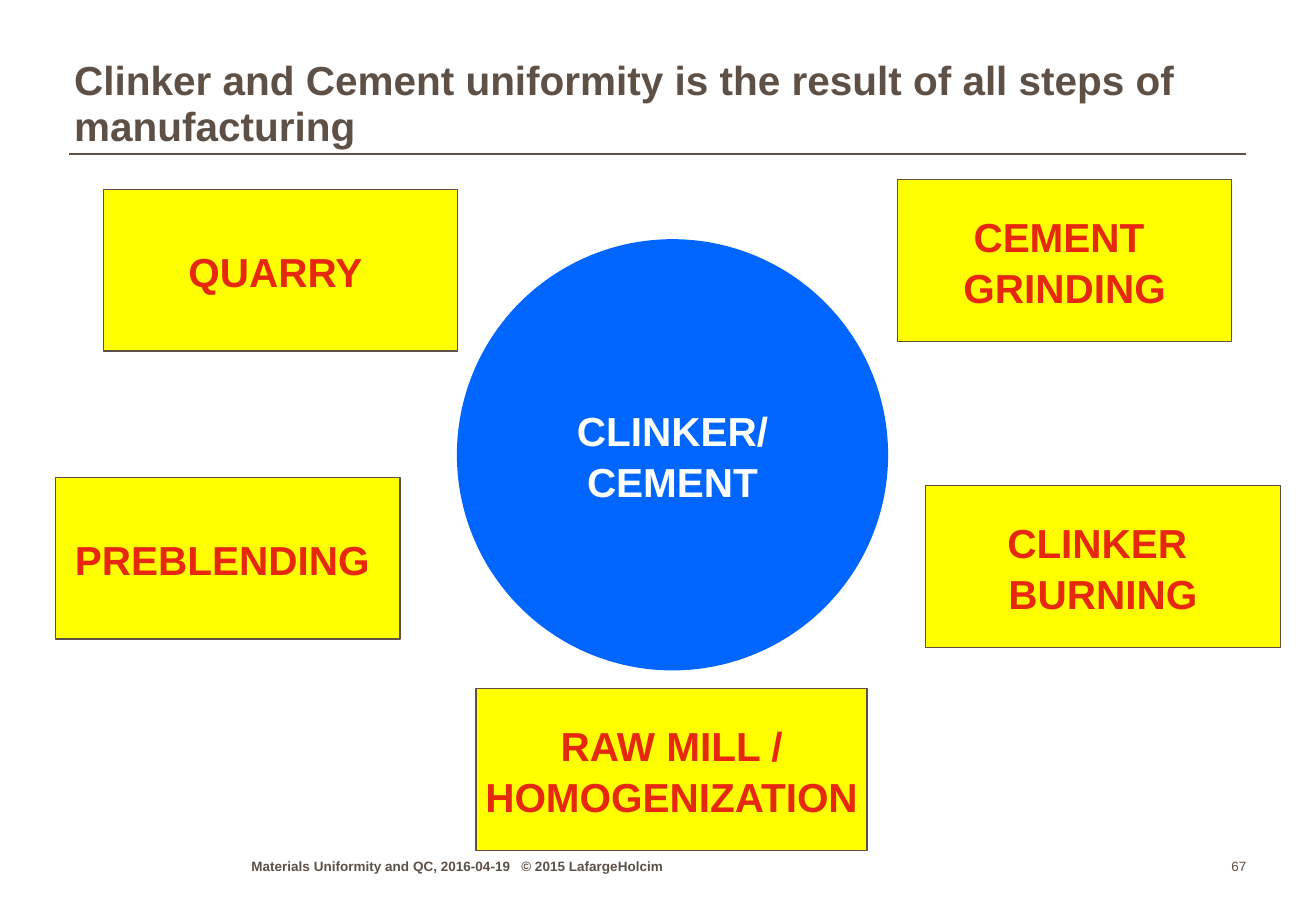
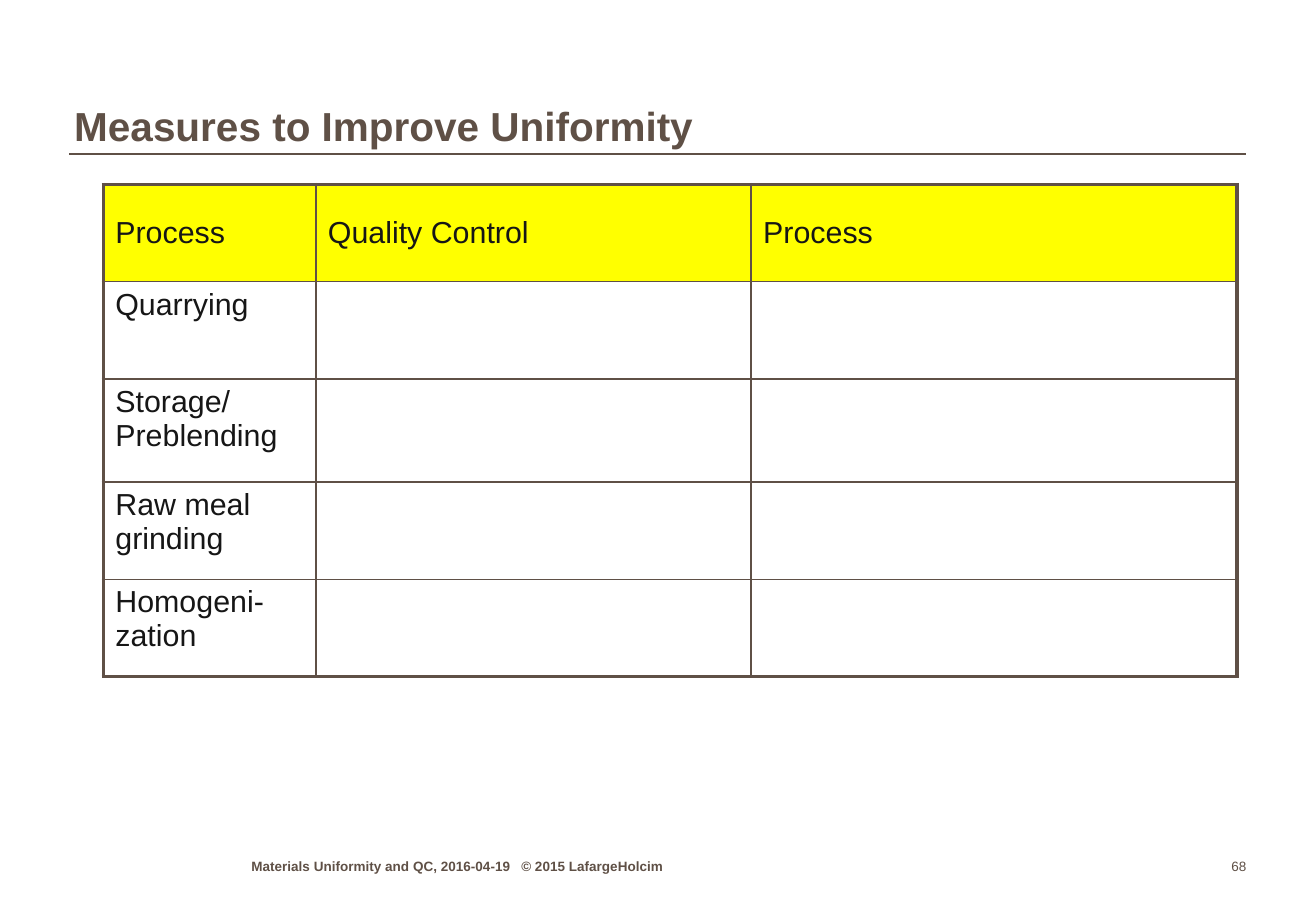
from dataclasses import dataclass

from lxml.etree import SubElement
from pptx import Presentation
from pptx.dml.color import RGBColor
from pptx.enum.shapes import MSO_CONNECTOR, MSO_SHAPE
from pptx.enum.text import MSO_ANCHOR, MSO_AUTO_SIZE, PP_ALIGN
from pptx.oxml.ns import qn
from pptx.presentation import Presentation as PresentationType
from pptx.shapes.autoshape import Shape
from pptx.slide import Slide
from pptx.table import _Cell
from pptx.text.text import TextFrame
from pptx.util import Pt

FONT = "Arial"
BROWN = "5F5046"
YELLOW = "FFFF00"
RED = "E6280F"
BLUE = "0066FF"
WHITE = "FFFFFF"
INK = "161616"

TITLE_ONLY = 5
FOOTER_TOP, FOOTER_HEIGHT = 505.4, 13
FOOTER = "Materials Uniformity and QC, 2016-04-19\t© 2015 LafargeHolcim"
COPYRIGHT_TAB = 160
BOX_HEIGHT = 95.8


@dataclass(frozen=True)
class ProcessBox:
    text: str
    left: float
    top: float
    width: float


PROCESS_BOXES = [
    ProcessBox("RAW MILL /\nHOMOGENIZATION", 282.2, 408.2, 231.8),
    ProcessBox("PREBLENDING ", 33.1, 283, 204),
    ProcessBox("CLINKER \nBURNING", 548.6, 288, 210.2),
    ProcessBox("QUARRY ", 61.2, 112.3, 210.2),
    ProcessBox("CEMENT \nGRINDING", 532, 106.6, 198),
]

COLUMN_WIDTHS = [126, 258, 288]
ROW_HEIGHTS = [57.6, 57.6, 61.2, 57.6, 57.6]
HEADERS = ["Process", "Quality Control", "Process"]
PROCESSES = ["Quarrying", "Storage/\nPreblending", "Raw meal grinding", "Homogeni-zation"]


def color(hex_value: str) -> RGBColor:
    return RGBColor.from_string(hex_value)


def format_text(frame: TextFrame, size: float, hex_value: str, bold: bool = False,
                alignment: PP_ALIGN = PP_ALIGN.LEFT, spacing: float = 1.0) -> None:
    for paragraph in frame.paragraphs:
        paragraph.alignment = alignment
        paragraph.line_spacing = spacing
        font = paragraph.font
        font.name, font.size, font.bold = FONT, Pt(size), bold
        font.color.rgb = color(hex_value)


def set_frame(frame: TextFrame, bottom_inset: float = 0) -> None:
    """Anchor text at the bottom, with no other insets."""
    frame.word_wrap = True
    frame.auto_size = MSO_AUTO_SIZE.NONE
    frame.vertical_anchor = MSO_ANCHOR.BOTTOM
    frame.margin_left = frame.margin_top = frame.margin_right = 0
    frame.margin_bottom = Pt(bottom_inset)


def add_footer_box(slide: Slide, left: float, width: float, text: str) -> TextFrame:
    box = slide.shapes.add_textbox(Pt(left), Pt(FOOTER_TOP), Pt(width), Pt(FOOTER_HEIGHT))
    set_frame(box.text_frame)
    box.text_frame.text = text
    return box.text_frame


def add_slide(presentation: PresentationType, title: str, number: int) -> Slide:
    """Add a slide with its title, rule, footer and page number."""
    slide = presentation.slides.add_slide(presentation.slide_layouts[TITLE_ONLY])

    rule = slide.shapes.add_connector(MSO_CONNECTOR.STRAIGHT, Pt(41), Pt(91.5), Pt(738.8), Pt(91.5))
    rule.line.color.rgb = color(BROWN)
    rule.line.width = Pt(1)
    SubElement(rule._element.spPr, qn("a:effectLst"))

    heading = slide.shapes.title
    heading.left, heading.top, heading.width, heading.height = Pt(44), Pt(27.4), Pt(691), Pt(62.6)
    heading.text_frame.text = title
    set_frame(heading.text_frame, bottom_inset=0.7)
    format_text(heading.text_frame, 24, BROWN, bold=True, spacing=0.95)

    footer = add_footer_box(slide, 149, 250, FOOTER)
    tabs = SubElement(footer.paragraphs[0]._p.get_or_add_pPr(), qn("a:tabLst"))
    SubElement(tabs, qn("a:tab"), pos=str(Pt(COPYRIGHT_TAB)), algn="l")
    format_text(footer, 8, BROWN, bold=True)
    page_number = add_footer_box(slide, 705, 33.8, str(number))
    format_text(page_number, 8, BROWN, alignment=PP_ALIGN.RIGHT)
    return slide


def add_labelled_shape(slide: Slide, kind: MSO_SHAPE, left: float, top: float, width: float,
                       height: float, text: str, fill: str, text_color: str) -> Shape:
    shape = slide.shapes.add_shape(kind, Pt(left), Pt(top), Pt(width), Pt(height))
    shape.shadow.inherit = False
    shape.fill.solid()
    shape.fill.fore_color.rgb = color(fill)
    shape.line.fill.background()
    frame = shape.text_frame
    frame.text = text
    frame.word_wrap = False
    frame.vertical_anchor = MSO_ANCHOR.MIDDLE
    format_text(frame, 24, text_color, True, PP_ALIGN.CENTER, 1.05)
    return shape


def add_process_diagram(slide: Slide) -> None:
    for box in PROCESS_BOXES:
        shape = add_labelled_shape(slide, MSO_SHAPE.RECTANGLE, box.left, box.top, box.width,
                                   BOX_HEIGHT, box.text, YELLOW, RED)
        shape.line.color.rgb = color(BROWN)
        shape.line.width = Pt(0.75)
    add_labelled_shape(slide, MSO_SHAPE.OVAL, 270.8, 141.8, 255.6, 255.6,
                       "CLINKER/\nCEMENT", BLUE, WHITE)


def set_border(cell: _Cell, side: str, width: float) -> None:
    line = SubElement(cell._tc.get_or_add_tcPr(), qn(f"a:ln{side}"), w=str(Pt(width)))
    fill = SubElement(line, qn("a:solidFill"))
    SubElement(fill, qn("a:srgbClr"), val=BROWN)


def add_measures_table(slide: Slide) -> None:
    row_count, column_count = len(ROW_HEIGHTS), len(COLUMN_WIDTHS)
    frame = slide.shapes.add_table(row_count, column_count, Pt(61.2), Pt(109.4),
                                   Pt(sum(COLUMN_WIDTHS)), Pt(sum(ROW_HEIGHTS)))
    table = frame.table
    table.first_row = table.horz_banding = False
    for column, width in zip(table.columns, COLUMN_WIDTHS):
        column.width = Pt(width)
    for row, height in zip(table.rows, ROW_HEIGHTS):
        row.height = Pt(height)

    texts = [HEADERS] + [[process, "", ""] for process in PROCESSES]
    for row_index, row_texts in enumerate(texts):
        for column_index, text in enumerate(row_texts):
            cell = table.cell(row_index, column_index)
            outer_sides = {
                "L": column_index == 0,
                "R": column_index == column_count - 1,
                "T": row_index == 0,
                "B": row_index == row_count - 1,
            }
            for side, is_outer in outer_sides.items():
                set_border(cell, side, 2.25 if is_outer else 1)
            if row_index == 0:
                cell.fill.solid()
                cell.fill.fore_color.rgb = color(YELLOW)
                cell.vertical_anchor = MSO_ANCHOR.MIDDLE
            else:
                cell.fill.background()
            cell.text = text
            format_text(cell.text_frame, 18, INK)


def main() -> None:
    presentation = Presentation()
    presentation.slide_width, presentation.slide_height = Pt(780), Pt(540)
    add_process_diagram(add_slide(
        presentation, "Clinker and Cement uniformity is the result of all steps of manufacturing", 67))
    add_measures_table(add_slide(presentation, "Measures to Improve Uniformity", 68))
    presentation.save("out.pptx")


if __name__ == "__main__":
    main()
